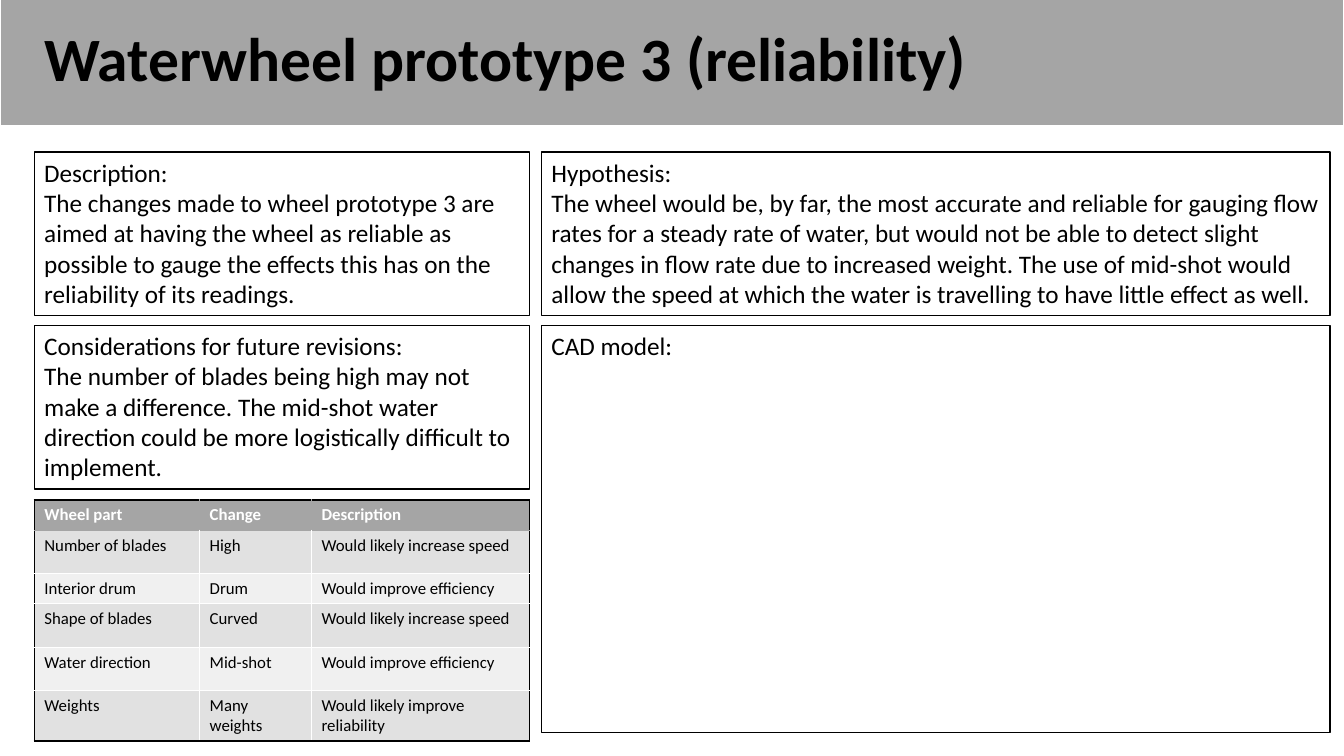
from dataclasses import dataclass

from lxml import etree
from pptx import Presentation
from pptx import util as u
from pptx.dml.color import RGBColor
from pptx.enum import shapes, text
from pptx.oxml.ns import qn

BLACK = RGBColor(0x00, 0x00, 0x00)
WHITE = RGBColor(0xFF, 0xFF, 0xFF)
GREY = RGBColor(0xA5, 0xA5, 0xA5)
BANDS = (RGBColor(0xE1, 0xE1, 0xE1), RGBColor(0xF0, 0xF0, 0xF0))
FONT = "Calibri"

LEFT, LEFT_WIDTH = 0.34, 4.91
RIGHT, RIGHT_WIDTH = 5.37, 7.82
TOP, PANEL_HEIGHT, GAP = 1.51, 1.62, 0.1
SECOND_TOP = TOP + PANEL_HEIGHT + GAP


@dataclass
class Panel:
    left: float
    top: float
    width: float
    height: float
    paragraphs: tuple[str, ...]


PANELS = [
    Panel(LEFT, TOP, LEFT_WIDTH, PANEL_HEIGHT, (
        "Description:",
        "The changes made to wheel prototype 3 are aimed at having the wheel as "
        "reliable as possible to gauge the effects this has on the reliability "
        "of its readings.")),
    Panel(RIGHT, TOP, RIGHT_WIDTH, PANEL_HEIGHT, (
        "Hypothesis:",
        "The wheel would be, by far, the most accurate and reliable for gauging "
        "flow rates for a steady rate of water, but would not be able to detect "
        "slight changes in flow rate due to increased weight. The use of mid-shot "
        "would allow the speed at which the water is travelling to have little "
        "effect as well.")),
    Panel(LEFT, SECOND_TOP, LEFT_WIDTH, PANEL_HEIGHT, (
        "Considerations for future revisions:",
        "The number of blades being high may not make a difference. The mid-shot "
        "water direction could be more logistically difficult to implement.")),
    Panel(RIGHT, SECOND_TOP, RIGHT_WIDTH, 4.04, ("CAD model:",)),
]

CHANGES = [
    ("Wheel part", "Change", "Description"),
    ("Number of blades", "High", "Would likely increase speed"),
    ("Interior drum", "Drum", "Would improve efficiency"),
    ("Shape of blades", "Curved", "Would likely increase speed"),
    ("Water direction", "Mid-shot", "Would improve efficiency"),
    ("Weights", "Many weights", "Would likely improve reliability"),
]
COLUMN_WIDTHS = (1.64, 1.11, 2.16)
ROW_HEIGHTS = (0.26, 0.43, 0.28, 0.43, 0.43, 0.43)


def write(frame, *paragraphs: str, size: float = 18, color: RGBColor = BLACK,
          bold: bool = False, spacing: float = 1.0,
          anchor=text.MSO_ANCHOR.TOP) -> None:
    frame.word_wrap = True
    frame.vertical_anchor = anchor
    for index, wording in enumerate(paragraphs):
        paragraph = frame.add_paragraph() if index else frame.paragraphs[0]
        paragraph.alignment = text.PP_ALIGN.LEFT
        paragraph.line_spacing = spacing
        run = paragraph.add_run()
        run.text = wording
        run.font.name, run.font.size = FONT, u.Pt(size)
        run.font.bold, run.font.color.rgb = bold, color


def add_rectangle(slide, left: float, top: float, width: float, height: float,
                  fill: RGBColor, line: RGBColor, line_width: float):
    rectangle = slide.shapes.add_shape(
        shapes.MSO_SHAPE.RECTANGLE,
        *(u.Inches(length) for length in (left, top, width, height)))
    rectangle.shadow.inherit = False
    rectangle.fill.solid()
    rectangle.fill.fore_color.rgb = fill
    rectangle.line.color.rgb = line
    rectangle.line.width = u.Pt(line_width)
    return rectangle


def set_border(cell, side: str, color: RGBColor) -> None:
    properties = cell._tc.get_or_add_tcPr()
    line = etree.SubElement(properties, qn(f"a:ln{side}"), w=str(u.Pt(1)))
    fill = etree.SubElement(line, qn("a:solidFill"))
    etree.SubElement(fill, qn("a:srgbClr"), val=str(color))


def add_changes_table(slide, left: float, top: float) -> None:
    last_row, last_column = len(CHANGES) - 1, len(COLUMN_WIDTHS) - 1
    table = slide.shapes.add_table(
        len(CHANGES), len(COLUMN_WIDTHS), u.Inches(left), u.Inches(top),
        u.Inches(sum(COLUMN_WIDTHS)), u.Inches(sum(ROW_HEIGHTS))).table
    for column, width in zip(table.columns, COLUMN_WIDTHS):
        column.width = u.Inches(width)
    for r, (wordings, height) in enumerate(zip(CHANGES, ROW_HEIGHTS)):
        table.rows[r].height = u.Inches(height)
        header = r == 0
        inner = GREY if header else WHITE
        for c, wording in enumerate(wordings):
            cell = table.cell(r, c)
            # Black outer frame, pale lines inside; side order follows the schema
            set_border(cell, "L", BLACK if c == 0 else inner)
            set_border(cell, "R", BLACK if c == last_column else inner)
            set_border(cell, "T", BLACK if header else GREY if r == 1 else WHITE)
            set_border(cell, "B", BLACK if r == last_row else inner)
            cell.fill.solid()
            cell.fill.fore_color.rgb = GREY if header else BANDS[(r - 1) % 2]
            write(cell.text_frame, wording, size=12, bold=header,
                  color=WHITE if header else BLACK)


prs = Presentation()
prs.slide_width, prs.slide_height = u.Inches(13.33), u.Inches(7.5)
slide = prs.slides.add_slide(prs.slide_layouts[6])

# Banner and title
add_rectangle(slide, 0, -0.02, 13.33, 1.27, GREY, WHITE, 1.5)
title = slide.shapes.add_textbox(
    u.Inches(LEFT), u.Inches(-0.11), u.Inches(11.5), u.Inches(1.45))
write(title.text_frame, "Waterwheel prototype 3 (reliability)", size=44,
      bold=True, spacing=0.9, anchor=text.MSO_ANCHOR.MIDDLE)

# Table of changes to the wheel
add_changes_table(slide, LEFT, 4.96)

# Text panels
for panel in PANELS:
    box = add_rectangle(slide, panel.left, panel.top, panel.width, panel.height,
                        WHITE, BLACK, 1)
    write(box.text_frame, *panel.paragraphs)

prs.save("out.pptx")
